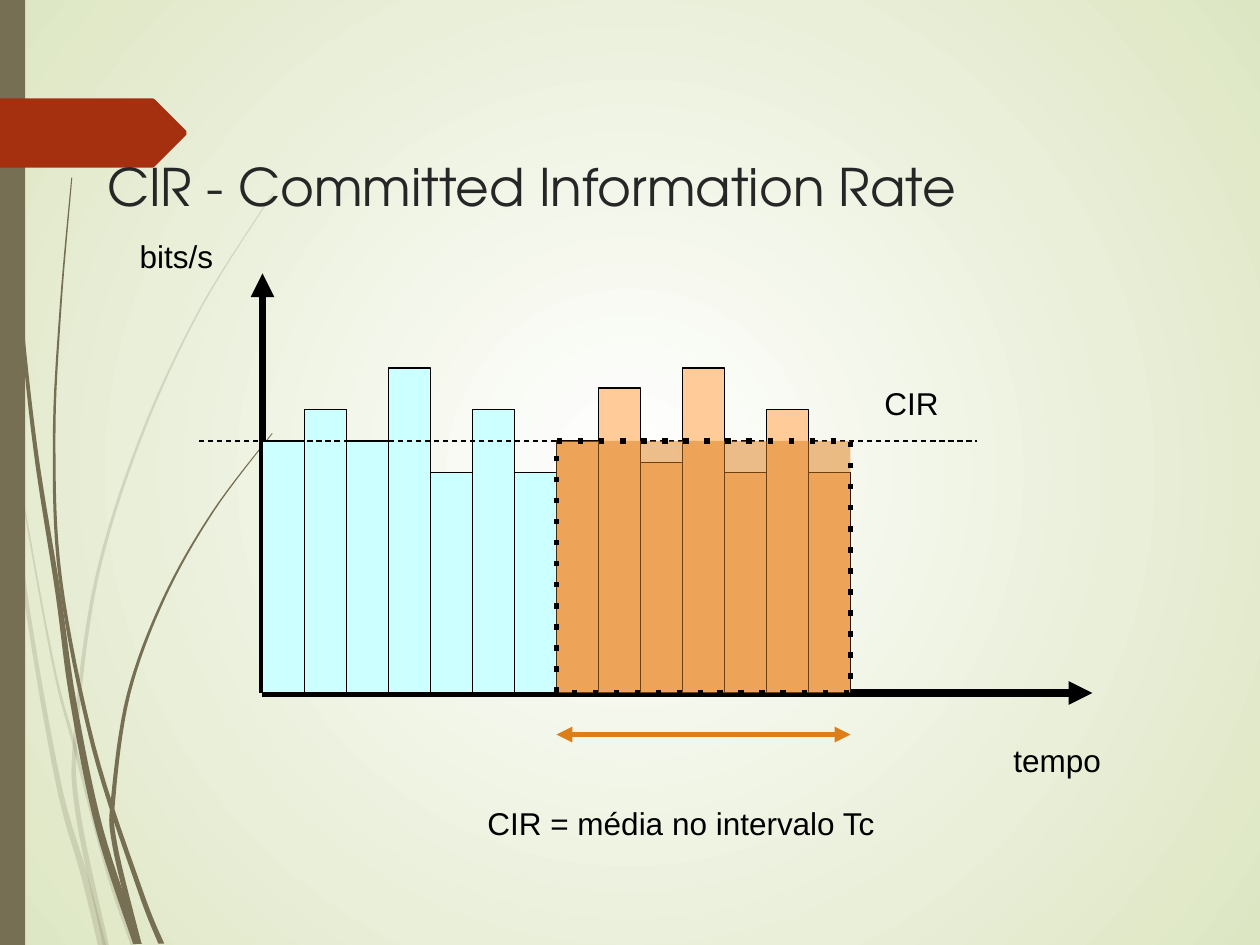
from pptx import Presentation
from pptx.dml.color import RGBColor
from pptx.enum.dml import MSO_LINE
from pptx.enum.shapes import MSO_CONNECTOR, MSO_SHAPE
from pptx.enum.text import MSO_ANCHOR, MSO_AUTO_SIZE, PP_ALIGN
from pptx.oxml.ns import qn
from pptx.util import Inches, Pt
from lxml.etree import SubElement

BLACK = RGBColor(0x00, 0x00, 0x00)
WHITE = RGBColor(0xFF, 0xFF, 0xFF)
PALE_GREEN = RGBColor(0xDD, 0xE6, 0xC3)
OLIVE = RGBColor(0x76, 0x6F, 0x54)
RED = RGBColor(0xA5, 0x30, 0x10)
DARK_GRAY = RGBColor(0x26, 0x26, 0x26)
CYAN = RGBColor(0xCC, 0xFF, 0xFF)
PEACH = RGBColor(0xFF, 0xCC, 0x99)
ORANGE = RGBColor(0xDE, 0x7E, 0x18)


def paint(sp, color, alpha=None, line=None, width=0.75):
    sp.shadow.inherit = False
    sp.fill.solid()
    sp.fill.fore_color.rgb = color
    if alpha:
        clr = sp._element.spPr.find(qn("a:solidFill"))[0]
        SubElement(clr, qn("a:alpha"), val=str(alpha * 1000))
    if line is None:
        sp.line.fill.background()
    else:
        sp.line.color.rgb = line
        sp.line.width = Pt(width)


def add_line(x1, y1, x2, y2, color, width, *ends):
    cxn = s.shapes.add_connector(MSO_CONNECTOR.STRAIGHT, Inches(x1), Inches(y1), Inches(x2), Inches(y2))
    cxn.line.color.rgb = color
    cxn.line.width = Pt(width)
    for end in ends:
        SubElement(cxn.line._get_or_add_ln(), qn("a:" + end), type="triangle")
    SubElement(cxn._element.spPr, qn("a:effectLst"))
    return cxn


prs = Presentation()
prs.slide_width, prs.slide_height = Inches(10), Inches(7.5)
s = prs.slides.add_slide(prs.slide_layouts[5])

fill = s.background.fill
fill.gradient()
for stop, color in zip(fill.gradient_stops, (WHITE, PALE_GREEN)):
    stop.color.rgb = color
grad = next(s._element.iter(qn("a:gradFill")))
grad.remove(grad.find(qn("a:lin")))
circle = SubElement(grad, qn("a:path"), path="circle")
SubElement(circle, qn("a:fillToRect"), l="49000", t="49000", r="49000", b="49000")

strands = [
    (20, 0.06, [(0.01, 2.9), (0.07, 3.47), (0.2, 4.7), (0.46, 6.2), (0.67, 6.95), (0.81, 7.5)]),
    (20, 0.04, [(0.1, 3.5), (0.41, 5.21), (0.6, 5.95), (0.86, 6.92), (1.06, 7.5)]),
    (20, 0.04, [(2.17, 1.53), (1.59, 2.45), (1.11, 3.49), (0.76, 4.62), (0.6, 5.84), (0.62, 6.46),
                (0.84, 7.5)]),
    (None, 0.06, [(0.03, 0), (0.05, 1.1), (0.15, 2.33), (0.28, 3.55), (0.46, 4.7), (0.58, 5.56),
                  (0.79, 6.58), (1.09, 7.49)]),
    (None, 0.04, [(0.57, 1.41), (0.48, 2.45), (0.43, 3.49), (0.48, 4.6), (0.74, 5.92), (1.11, 7.06),
                  (1.28, 7.49)]),
    (None, 0.04, [(2.16, 3.44), (1.69, 4.06), (1.3, 4.75), (1.02, 5.51), (0.9, 6.32), (0.91, 6.7),
                  (1.1, 7.49)]),
]
steps = 8
for alpha, width, knots in strands:
    ends = [knots[0]] + knots + [knots[-1]]
    curve = []
    for a, b, c, d in zip(ends, ends[1:], ends[2:], ends[3:]):
        for t in (k / steps for k in range(steps)):
            curve.append([b[j] + t / 2 * (c[j] - a[j] + t * (2 * a[j] - 5 * b[j] + 4 * c[j] - d[j]
                          + t * (3 * b[j] - a[j] - 3 * c[j] + d[j]))) for j in (0, 1)])
    curve.append(knots[-1])
    halves = [0.004 + width / 2 * i / len(curve) for i in range(len(curve))]
    left = [(Inches(x - h), Inches(y)) for (x, y), h in zip(curve, halves)]
    right = [(Inches(x + h), Inches(y)) for (x, y), h in zip(curve, halves)]
    fb = s.shapes.build_freeform(*left[0])
    fb.add_line_segments(left[1:] + right[::-1])
    paint(fb.convert_to_shape(), OLIVE, alpha)

band = s.shapes.add_shape(MSO_SHAPE.RECTANGLE, 0, 0, Inches(0.2), Inches(7.5))
paint(band, OLIVE)
flag = [(1.48, 1.07), (1.23, 1.32), (1.21, 1.33), (0, 1.33), (0, 0.78), (1.21, 0.78), (1.23, 0.79), (1.48, 1.04)]
corners = [(Inches(x), Inches(y)) for x, y in flag]
fb = s.shapes.build_freeform(*corners[0])
fb.add_line_segments(corners[1:])
paint(fb.convert_to_shape(), RED)

title = s.shapes.title
title.left, title.top, title.width, title.height = Inches(0.75), Inches(1.23), Inches(8.49), Inches(0.55)
tf = title.text_frame
tf.text = "CIR - Committed Information Rate"
tf.vertical_anchor = MSO_ANCHOR.MIDDLE
p = tf.paragraphs[0]
p.alignment = PP_ALIGN.LEFT
p.line_spacing = 0.9
r = p.runs[0]
r.font.name, r.font.size = "TeX Gyre Adventor", Pt(29.6)
r.font.color.rgb = DARK_GRAY
s.shapes._spTree.append(title._element)

axis_x, axis_y, cir_y = 25 / 12, 5.5, 3.5
bar_w = 1 / 3
tc_start, tc_w = axis_x + 7 * bar_w, 7 * bar_w

add_line(axis_x, 2.17, axis_x, axis_y, BLACK, 4.5, "headEnd")
add_line(axis_x, axis_y, 8.67, axis_y, BLACK, 4.5, "tailEnd")

bars = [
    (axis_x, CYAN, [2, 2.25, 2, 2.58, 1.75, 2.25, 1.75]),
    (tc_start, PEACH, [2, 2.42, 1.83, 2.58, 1.75, 2.25, 1.75]),
]
for start, color, heights in bars:
    for i, h in enumerate(heights):
        bar = s.shapes.add_shape(MSO_SHAPE.RECTANGLE, Inches(start + i * bar_w), Inches(axis_y - h),
                                 Inches(bar_w), Inches(h))
        paint(bar, color, line=BLACK)
    if color == CYAN:
        cir_line = add_line(1.58, cir_y, 7.75, cir_y, BLACK, 0.75)
        cir_line.line.dash_style = MSO_LINE.DASH

add_line(tc_start, 5.83, tc_start + tc_w, 5.83, ORANGE, 3, "headEnd", "tailEnd")
tc_area = s.shapes.add_shape(MSO_SHAPE.RECTANGLE, Inches(tc_start), Inches(cir_y),
                             Inches(tc_w), Inches(axis_y - cir_y))
paint(tc_area, ORANGE, alpha=50, line=BLACK, width=3)
SubElement(tc_area.line._get_or_add_ln(), qn("a:prstDash"), val="dot")

labels = [
    ("bits/s", 1, 1.83, 0.8),
    ("tempo", 7.94, 5.83, 0.9),
    ("CIR = média no intervalo Tc", 3.75, 6.33, 3.31),
    ("CIR", 6.92, 3, 0.63),
]
for text, x, y, w in labels:
    tb = s.shapes.add_textbox(Inches(x), Inches(y), Inches(w), Inches(0.4))
    tf = tb.text_frame
    tf.word_wrap = False
    tf.auto_size = MSO_AUTO_SIZE.SHAPE_TO_FIT_TEXT
    tf.text = text
    p = tf.paragraphs[0]
    p.alignment = PP_ALIGN.CENTER
    r = p.runs[0]
    r.font.name, r.font.size = "Arial", Pt(18)
    r.font.color.rgb = BLACK

prs.save("out.pptx")
